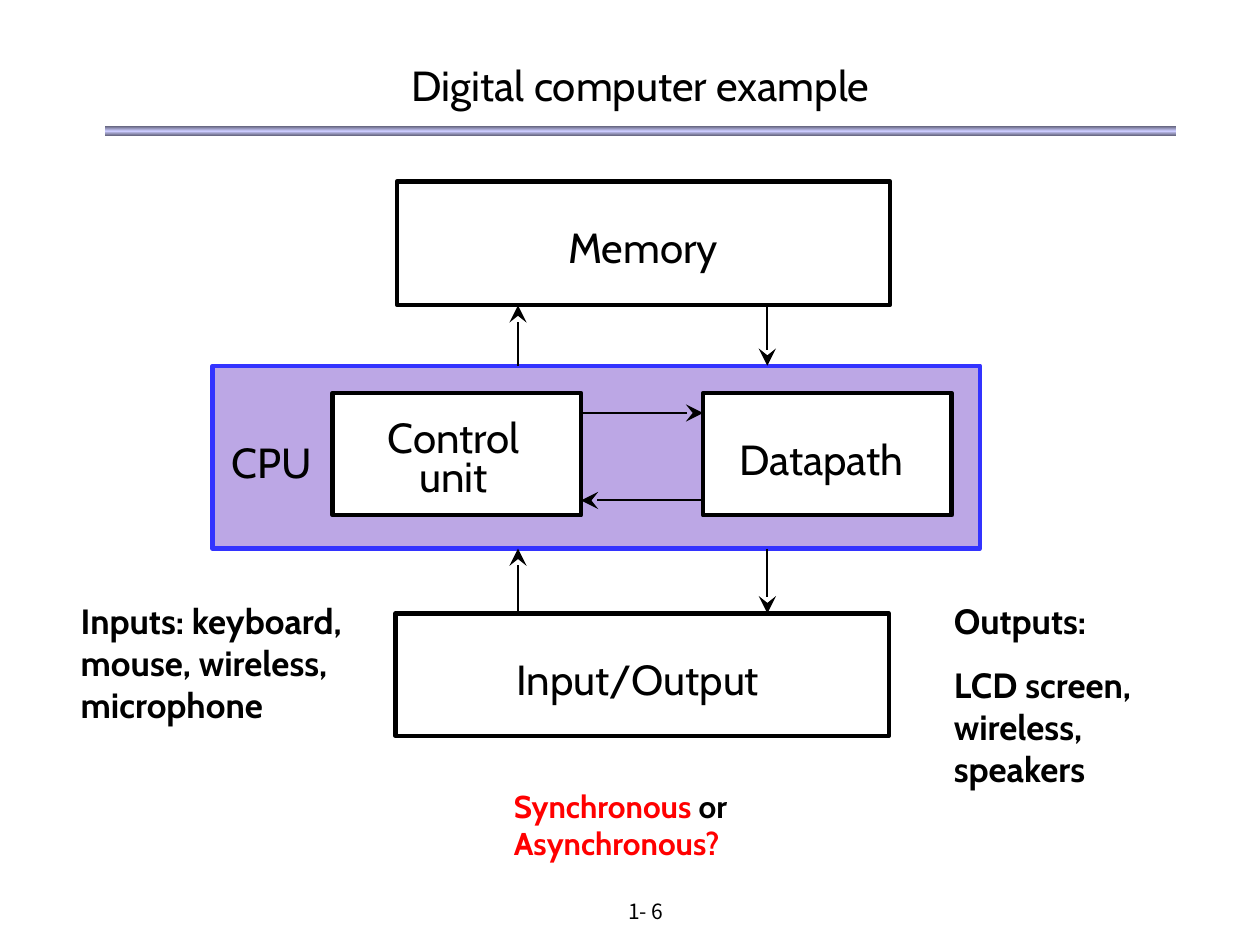
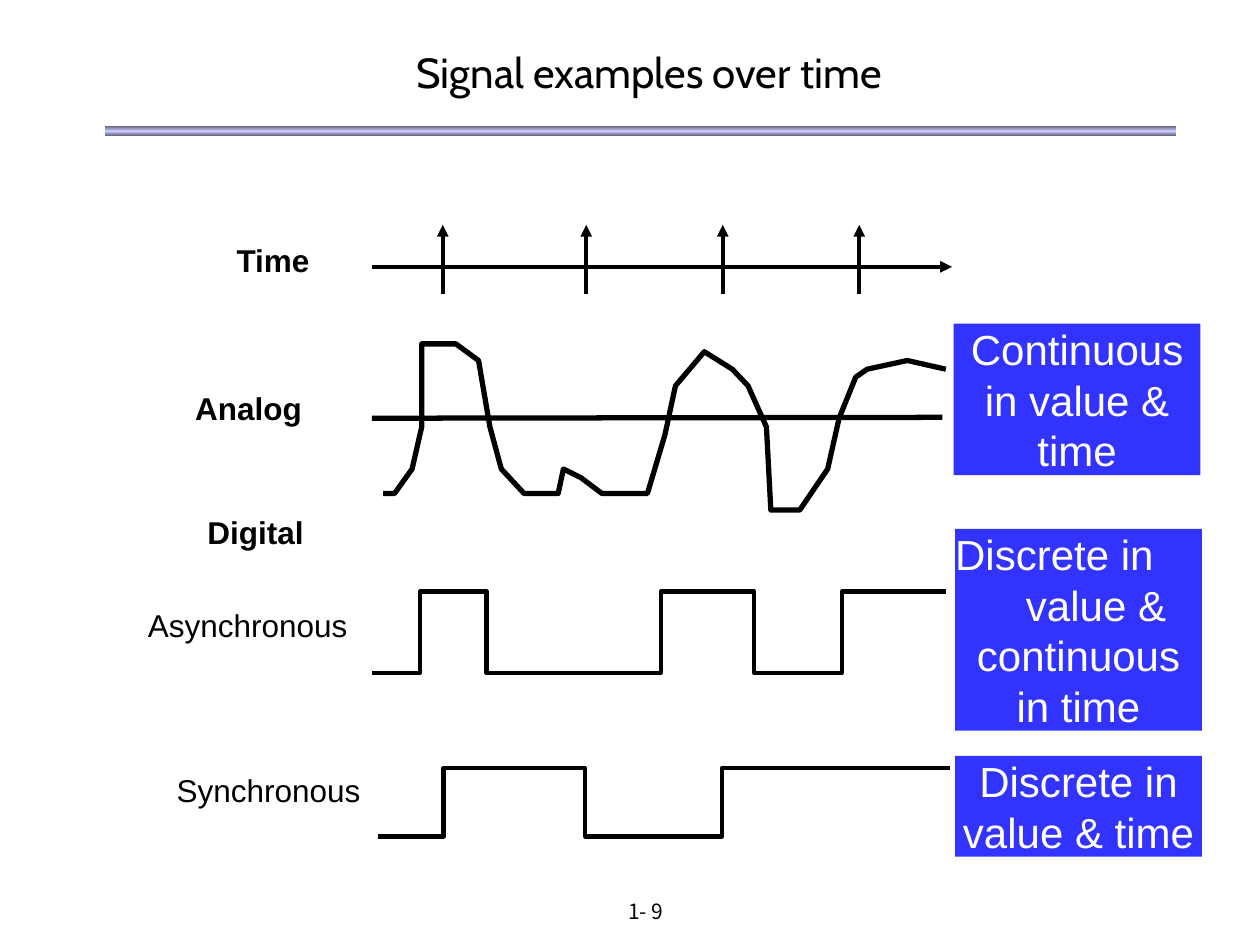
from copy import deepcopy

from lxml import etree
from pptx import Presentation
from pptx import util as u
from pptx.dml.color import RGBColor
from pptx.enum import shapes, text
from pptx.oxml.ns import qn

COLORS = {
    "ink": "000000",
    "paper": "FFFFFF",
    "accent": "3333FF",
    "cpu": "BCA7E5",
    "alert": "FF0000",
    "bar_edge": "5E5E76",
    "bar_middle": "CCCCFF",
}
HEADING_FONT, SIGNAL_FONT, FOOTER_FONT = "Cabin", "Arial", "Noto Sans CJK KR"
LEFT, CENTER = text.PP_ALIGN.LEFT, text.PP_ALIGN.CENTER
TOP, MIDDLE = text.MSO_ANCHOR.TOP, text.MSO_ANCHOR.MIDDLE


def rgb(name):
    return RGBColor.from_string(COLORS[name])


def points(values):
    return [u.Pt(value) for value in values]


def write(shape, paragraphs, font=HEADING_FONT, size=24, color="ink", bold=False,
          align=LEFT, anchor=TOP, inset=(0, 0), wrap=True, before=0, spacing=None):
    """Fill a shape; each paragraph is a string or a list of (string, colour) runs."""
    frame = shape.text_frame
    frame.word_wrap = wrap
    frame.vertical_anchor = anchor
    frame.margin_left = frame.margin_right = u.Pt(inset[0])
    frame.margin_top = frame.margin_bottom = u.Pt(inset[1])
    for index, runs in enumerate(paragraphs):
        paragraph = frame.add_paragraph() if index else frame.paragraphs[0]
        paragraph.alignment = align
        if index and before:
            paragraph.space_before = u.Pt(before)
        if spacing:
            paragraph.line_spacing = u.Pt(spacing)
        for words, run_color in [(runs, color)] if isinstance(runs, str) else runs:
            run = paragraph.add_run()
            run.text = words
            run.font.name, run.font.size, run.font.bold = font, u.Pt(size), bold
            run.font.color.rgb = rgb(run_color)
    return frame


def add_text(slide, area, paragraphs, **style):
    return write(slide.shapes.add_textbox(*points(area)), paragraphs, **style)


def add_box(slide, area, fill=None, line=None, width=2.5):
    box = slide.shapes.add_shape(shapes.MSO_SHAPE.RECTANGLE, *points(area))
    box.shadow.inherit = False
    if fill:
        box.fill.solid()
        box.fill.fore_color.rgb = rgb(fill)
    else:
        box.fill.background()
    if line:
        box.line.color.rgb = rgb(line)
        box.line.width = u.Pt(width)
    else:
        box.line.fill.background()
    return box


def add_line(slide, start, end, width, head=None, head_size="med"):
    line = slide.shapes.add_connector(
        shapes.MSO_CONNECTOR.STRAIGHT, *points(start), *points(end))
    line.line.color.rgb = rgb("ink")
    line.line.width = u.Pt(width)
    properties = line._element.spPr
    if head:
        etree.SubElement(properties.find(qn("a:ln")), qn("a:tailEnd"),
                         type=head, w=head_size, len=head_size)
    etree.SubElement(properties, qn("a:effectLst"))


def add_trace(slide, vertices, width):
    first, *rest = [points(vertex) for vertex in vertices]
    builder = slide.shapes.build_freeform(*first)
    builder.add_line_segments(rest, close=False)
    trace = builder.convert_to_shape()
    trace.shadow.inherit = False
    trace.fill.background()
    trace.line.color.rgb = rgb("ink")
    trace.line.width = u.Pt(width)


def add_square_wave(slide, start, edges, end, low, high):
    """Draw a signal that starts low and switches level at each edge."""
    levels = [low, high]
    vertices = [(start, low)]
    for index, x in enumerate(edges):
        before, after = levels[index % 2], levels[1 - index % 2]
        vertices += [(x, before), (x, after)]
    add_trace(slide, vertices + [(end, levels[len(edges) % 2])], 2.38)


def add_title_bar(slide):
    bar = add_box(slide, (60, 72, 612, 5.8))
    bar.fill.gradient()
    stop_list = bar._element.spPr.find(qn("a:gradFill")).find(qn("a:gsLst"))
    stop_list.append(deepcopy(stop_list[-1]))
    bar.fill.gradient_angle = 90
    stops = zip(bar.fill.gradient_stops, (0, 0.5, 1),
                ("bar_edge", "bar_middle", "bar_edge"))
    for stop, position, color in stops:
        stop.position = position
        stop.color.rgb = rgb(color)


def start_slide(deck, title, title_area, page):
    slide = deck.slides.add_slide(deck.slide_layouts[6])
    add_title_bar(slide)
    add_text(slide, title_area, [title], align=CENTER, anchor=MIDDLE)
    add_text(slide, (294, 510, 150, 18), [page], font=FOOTER_FONT, size=12,
             align=CENTER, inset=(7.2, 3.6))
    return slide


def build_computer(deck):
    slide = start_slide(deck, "Digital computer example", (60, 31.5, 612, 34), "1- 6")

    note = {"bold": True, "inset": (7.2, 3.6)}
    add_text(slide, (286.5, 446, 162, 50),
             [[("Synchronous ", "alert"), ("or", "ink"), (" Asynchronous?", "alert")]],
             size=18, **note)
    add_text(slide, (39, 339, 175.5, 127),
             ["Inputs: keyboard, mouse, wireless, microphone"], size=20, **note)
    add_text(slide, (538, 339, 163.5, 116),
             ["Outputs:", "LCD screen, wireless, speakers"],
             size=20, before=12.5, **note)

    add_box(slide, (121.5, 209, 438.5, 104.5), "cpu", "accent")
    add_box(slide, (226.8, 103.7, 282, 70.5), None, "ink")
    add_box(slide, (226, 350.5, 282, 70), None, "ink")
    for unit_left in (190, 401.8):
        add_box(slide, (unit_left, 224.5, 142, 70), "paper", "ink")

    part_labels = [
        ("Memory", 324.7, 126.7, 94),
        ("Datapath", 422.5, 247.7, 105),
        ("Input/Output", 295, 373.7, 150),
        ("CPU", 132.3, 249.2, 48),
    ]
    for part, left, top, width in part_labels:
        add_text(slide, (left, top, width, 29), [part], wrap=False)
    add_text(slide, (217.5, 241.5, 83.5, 45), ["Control", "unit"],
             align=CENTER, spacing=22.3)

    bus_arrows = [((332, 236), (401.8, 236)), ((401.8, 286), (332, 286))]
    for upper, lower in ((174.5, 209), (313.5, 350.5)):
        bus_arrows += [((296, lower), (296, upper)), ((438.5, upper), (438.5, lower))]
    for start, end in bus_arrows:
        add_line(slide, start, end, 1.13, "stealth", "lg")


def build_signals(deck):
    slide = start_slide(deck, "Signal examples over time", (65, 26, 612, 30), "1- 9")

    add_line(slide, (212.5, 152.5), (544, 152.5), 2.25, "triangle")
    for tick in (253, 335, 413, 491):
        add_line(slide, (tick, 168), (tick, 128.5), 2.25, "triangle")

    analog = [
        (219, 282), (225.5, 282), (235.5, 268), (241, 244), (241, 196.5),
        (260.5, 196.5), (273.5, 206), (280, 244), (286.5, 268), (299.5, 282),
        (319, 282), (322, 268), (332, 273), (344, 282), (370, 282),
        (380, 248.5), (386, 220.5), (402.5, 201), (418.5, 211), (427.5, 220.5),
        (438, 244), (440.5, 291.5), (457, 291.5), (473, 268), (479.5, 239),
        (489, 215.5), (495.5, 211), (518.5, 206), (540.5, 211),
    ]
    add_trace(slide, analog, 3)
    add_line(slide, (212.5, 239), (538.5, 238.5), 3)
    add_square_wave(slide, 212.5, (240, 278, 377.5, 431, 481), 540.5, 384.5, 338)
    add_square_wave(slide, 216, (253.5, 334.5, 412.5), 543, 478, 439)

    signal_labels = [
        ("Time", 156, 137.5, True),
        ("Analog", 142, 222.5, True),
        ("Digital", 146, 293, True),
        ("Asynchronous", 141.5, 346.3, False),
        ("Synchronous", 153.5, 440.6, False),
    ]
    for signal, middle, top, bold in signal_labels:
        add_text(slide, (middle - 60, top, 120, 21.6), [signal], font=SIGNAL_FONT,
                 size=18, bold=bold, align=CENTER)

    properties = [
        (545, 185, 86.5, ["Continuous in value & time"]),
        (545.8, 302.3, 115.2, ["Discrete in", "value & continuous in time"]),
        (545.8, 432, 57.6, ["Discrete in value & time"]),
    ]
    for left, top, height, paragraphs in properties:
        box = add_box(slide, (left, top, 141, height), "accent")
        frame = write(box, paragraphs, font=SIGNAL_FONT, color="paper", align=CENTER)
        if len(paragraphs) > 1:
            opening, remainder = frame.paragraphs
            opening.alignment = LEFT
            remainder._p.get_or_add_pPr().set("indent", str(u.Pt(20)))


def main():
    deck = Presentation()
    deck.slide_width, deck.slide_height = points((720, 540))
    build_computer(deck)
    build_signals(deck)
    deck.save("out.pptx")


if __name__ == "__main__":
    main()
